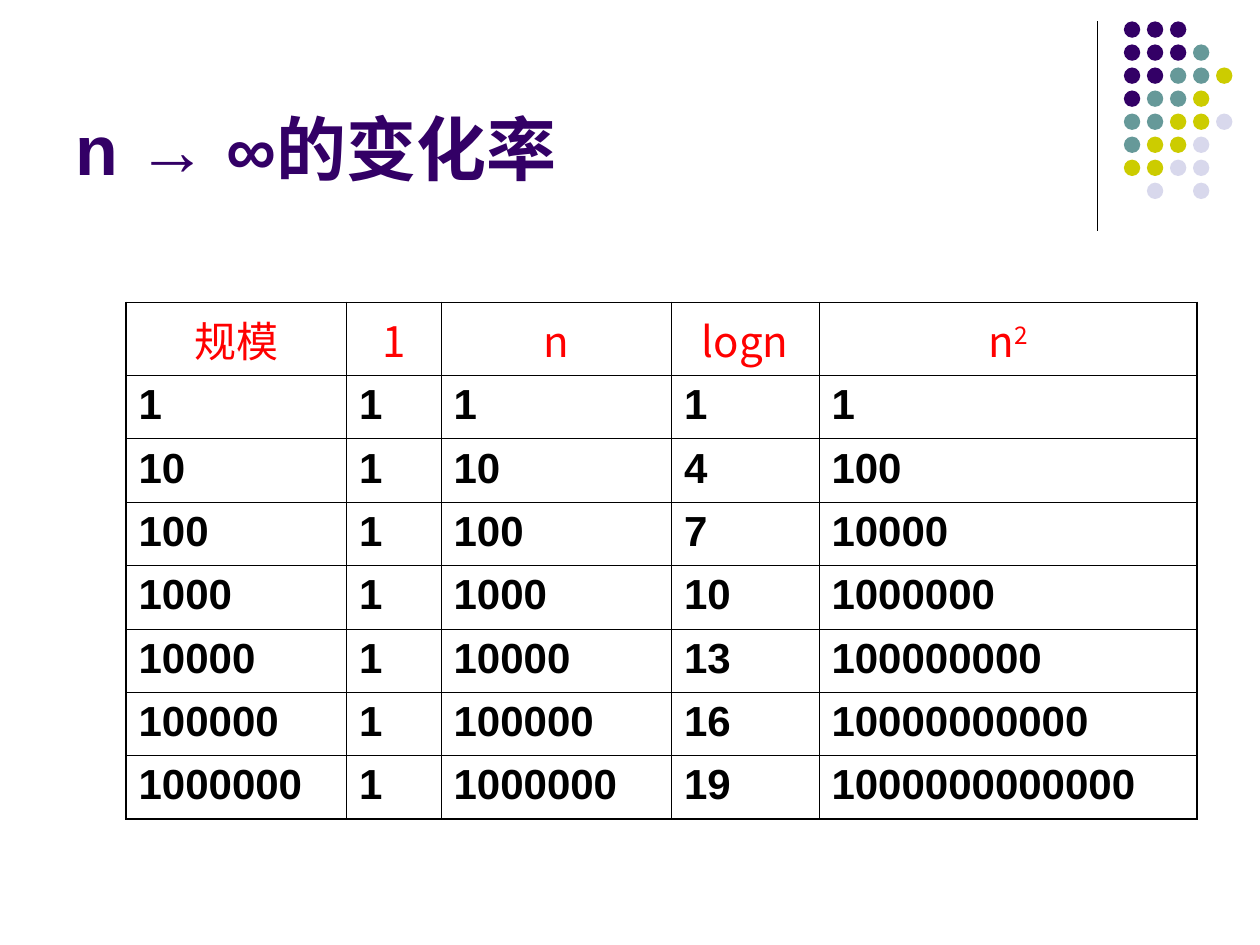
from pptx import Presentation, util as u
from pptx.dml.color import RGBColor
from pptx.enum import shapes, text
from pptx.oxml import parse_xml
from pptx.oxml.ns import nsdecls, qn
from lxml import etree

LATIN, CJK = "Arial", "Noto Sans CJK SC"
BLACK, RED, PURPLE = "000000", "FF0000", "330066"


def rgb(value):
    return RGBColor.from_string(value)


class Deck:
    """Holds the style and the current slide."""

    thin, thick = 0.45, 1.08

    def __init__(self, width, height):
        self.prs = Presentation()
        self.prs.slide_width, self.prs.slide_height = u.Inches(width), u.Inches(height)
        self.s = self.prs.slides.add_slide(self.prs.slide_layouts[6])

    def run(self, p, content, size, color, font=LATIN, bold=False, raised=False):
        r = p.add_run()
        r.text = content
        r.font.name, r.font.size, r.font.bold = font, u.Pt(size), bold
        r.font.color.rgb = rgb(color)
        props = r.font._element
        etree.SubElement(props, qn("a:ea")).set("typeface", CJK)
        if raised:
            props.set("baseline", "30000")

    def line(self, x1, y1, x2, y2, color, width):
        c = self.s.shapes.add_connector(
            shapes.MSO_CONNECTOR.STRAIGHT, *map(u.Inches, (x1, y1, x2, y2)))
        c.line.color.rgb, c.line.width = rgb(color), u.Pt(width)
        etree.SubElement(c._element.spPr, qn("a:effectLst"))

    def dots(self, left, top, pitch, size, rows, colors):
        group = self.s.shapes.add_group_shape()
        for i, row in enumerate(rows):
            for j, key in enumerate(row):
                if key == " ":
                    continue
                sp = group.shapes.add_shape(
                    shapes.MSO_SHAPE.OVAL, u.Inches(left + j * pitch),
                    u.Inches(top + i * pitch), u.Inches(size), u.Inches(size))
                sp.shadow.inherit = False
                sp.fill.solid()
                sp.fill.fore_color.rgb = rgb(colors[key])
                sp.line.fill.background()

    def title(self, x, y, w, h, content):
        tf = self.s.shapes.add_textbox(*map(u.Inches, (x, y, w, h))).text_frame
        tf.word_wrap = True
        tf.vertical_anchor = text.MSO_ANCHOR.BOTTOM
        self.run(tf.paragraphs[0], content, 40, PURPLE, bold=True)

    def borders(self, cell, **widths):
        for side, width in widths.items():
            cell._tc.get_or_add_tcPr().append(parse_xml(
                f'<a:ln{side} {nsdecls("a")} w="{u.Pt(width)}"><a:solidFill>'
                f'<a:srgbClr val="{BLACK}"/></a:solidFill></a:ln{side}>'))

    def table(self, x, y, col_widths, row_heights, header, body):
        rows, cols = len(row_heights), len(col_widths)
        table = self.s.shapes.add_table(
            rows, cols, *map(u.Inches, (x, y, sum(col_widths), sum(row_heights)))).table
        table.first_row = table.horz_banding = False
        for col, width in zip(table.columns, col_widths):
            col.width = u.Inches(width)
        for row, height in zip(table.rows, row_heights):
            row.height = u.Inches(height)
        for i, values in enumerate([header] + body):
            for j, value in enumerate(values):
                cell = table.cell(i, j)
                edges = dict(L=j == 0, R=j == cols - 1, T=i == 0, B=i == rows - 1)
                self.borders(cell, **{side: self.thick if outer else self.thin
                                      for side, outer in edges.items()})
                cell.fill.background()
                p = cell.text_frame.paragraphs[0]
                if i > 0:
                    self.run(p, value, 24, BLACK, bold=True)
                    continue
                p.alignment = text.PP_ALIGN.CENTER
                base, _, power = value.partition("^")
                self.run(p, base, 24, RED, CJK)
                if power:
                    self.run(p, power, 24, RED, CJK, raised=True)


def main():
    deck = Deck(10, 7.5)

    # Corner decoration
    deck.line(8.71, 0.17, 8.71, 1.83, BLACK, 0.75)
    deck.dots(8.92, 0.17, 1.28 / 7, 0.13,
              ["PPP", "PPPT", "PPTTY", "PTTY", "TTYYL", "TYYL", "YYLL", " L L"],
              dict(P=PURPLE, T="669999", Y="CCCC00", L="D8D8EC"))

    # Title
    deck.title(0.5, 0.13, 8.25, 1.42, "n → ∞的变化率")

    # Growth table: n = 1, 10, ..., 1000000
    body = [[str(value) for value in (10**k, 1, 10**k, 1 + 3 * k, 10**(2 * k))]
            for k in range(7)]
    header_height, table_height = 0.58, 4.1
    body_height = (table_height - header_height) / len(body)
    deck.table(1, 2.4, [1.75, 0.75, 1.83, 1.17, 3],
               [header_height] + [body_height] * len(body),
               ["规模", "1", "n", "logn", "n^2"], body)

    deck.prs.save("out.pptx")


if __name__ == "__main__":
    main()
